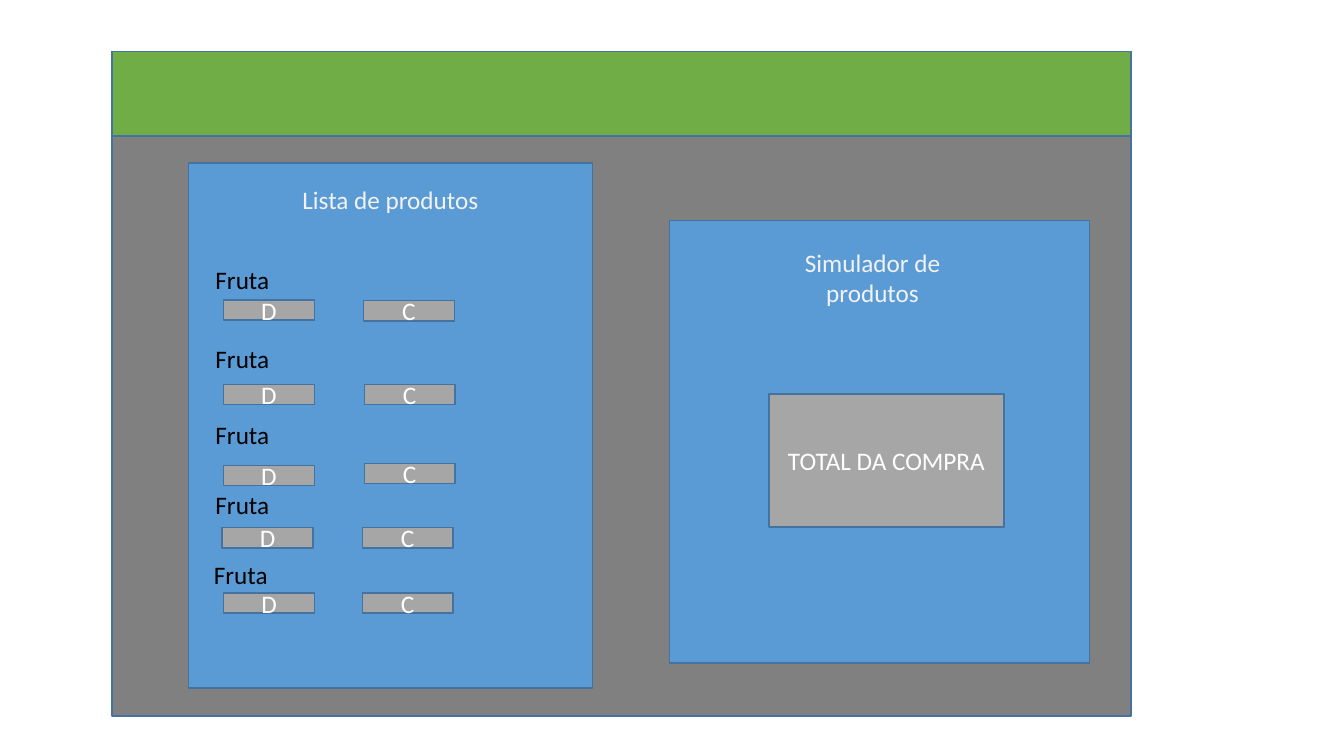
from pptx import Presentation
from pptx import util as u
from pptx.dml import color
from pptx.enum import shapes, text

GREY, GREEN, BLUE, SILVER = "808080", "70AD47", "5B9BD5", "A6A6A6"
EDGE, PALE, WHITE, BLACK = "43739E", "F2F2F2", "FFFFFF", "000000"


def paint(target, hue):
    target.rgb = color.RGBColor.from_string(hue)


class Sketch:
    """Holds the text style and the current slide; lengths are in cm."""

    def __init__(self, slide, font="Calibri", size=18):
        self.slide, self.font, self.size = slide, font, size

    def letter(self, shape, words, hue, align):
        """Put styled words into a shape."""
        frame = shape.text_frame
        frame.word_wrap = True
        frame.text = words
        para = frame.paragraphs[0]
        para.alignment = align
        font = para.runs[0].font
        font.name, font.size = self.font, u.Pt(self.size)
        paint(font.color, hue)

    def box(self, x, y, w, h, fill, words="", hue=WHITE, edge=EDGE):
        shape = self.slide.shapes.add_shape(
            shapes.MSO_SHAPE.RECTANGLE, *map(u.Cm, (x, y, w, h)))
        shape.shadow.inherit = False
        shape.fill.solid()
        paint(shape.fill.fore_color, fill)
        if edge:
            paint(shape.line.color, edge)
            shape.line.width = u.Pt(1)
        else:
            shape.line.fill.background()
        if words:
            self.letter(shape, words, hue, text.PP_ALIGN.CENTER)
        return shape

    def label(self, x, y, w, h, words, hue, align=text.PP_ALIGN.LEFT):
        shape = self.slide.shapes.add_textbox(*map(u.Cm, (x, y, w, h)))
        self.letter(shape, words, hue, align)


def main():
    deck = Presentation()
    deck.slide_width, deck.slide_height = u.Cm(33.87), u.Cm(19.05)
    page = Sketch(deck.slides.add_slide(deck.slide_layouts[6]))

    page.box(2.82, 1.3, 25.68, 16.74, GREY)
    page.box(2.82, 1.3, 25.68, 2.13, GREEN)
    page.box(4.75, 4.11, 10.19, 13.23, BLUE)
    page.box(16.87, 5.56, 10.59, 11.15, BLUE)

    page.label(5.61, 4.52, 8.46, 1.02, "Lista de produtos", PALE,
               text.PP_ALIGN.CENTER)
    # Each row: label left and top, D left and top, C left and top
    rows = [
        (5.18, 6.53, 5.63, 7.56, 9.16, 7.58),
        (5.18, 8.53, 5.63, 9.69, 9.18, 9.69),
        (5.18, 10.44, 5.63, 11.73, 9.18, 11.68),
        (5.18, 12.2, 5.6, 13.3, 9.13, 13.3),
        (5.14, 13.98, 5.64, 14.94, 9.13, 14.94),
    ]
    for left, top, dx, dy, cx, cy in rows:
        page.label(left, top, 3.71, 1.02, "Fruta", BLACK)
        page.box(dx, dy, 2.29, 0.51, SILVER, "D")
        page.box(cx, cy, 2.29, 0.51, SILVER, "C")

    title = page.box(19.08, 6.1, 5.82, 1.8, BLUE, "Simulador de produtos",
                     PALE, edge=None)
    title.text_frame.vertical_anchor = text.MSO_ANCHOR.TOP
    page.box(19.38, 9.93, 5.92, 3.35, SILVER, "TOTAL DA COMPRA")

    deck.save("out.pptx")


if __name__ == "__main__":
    main()
